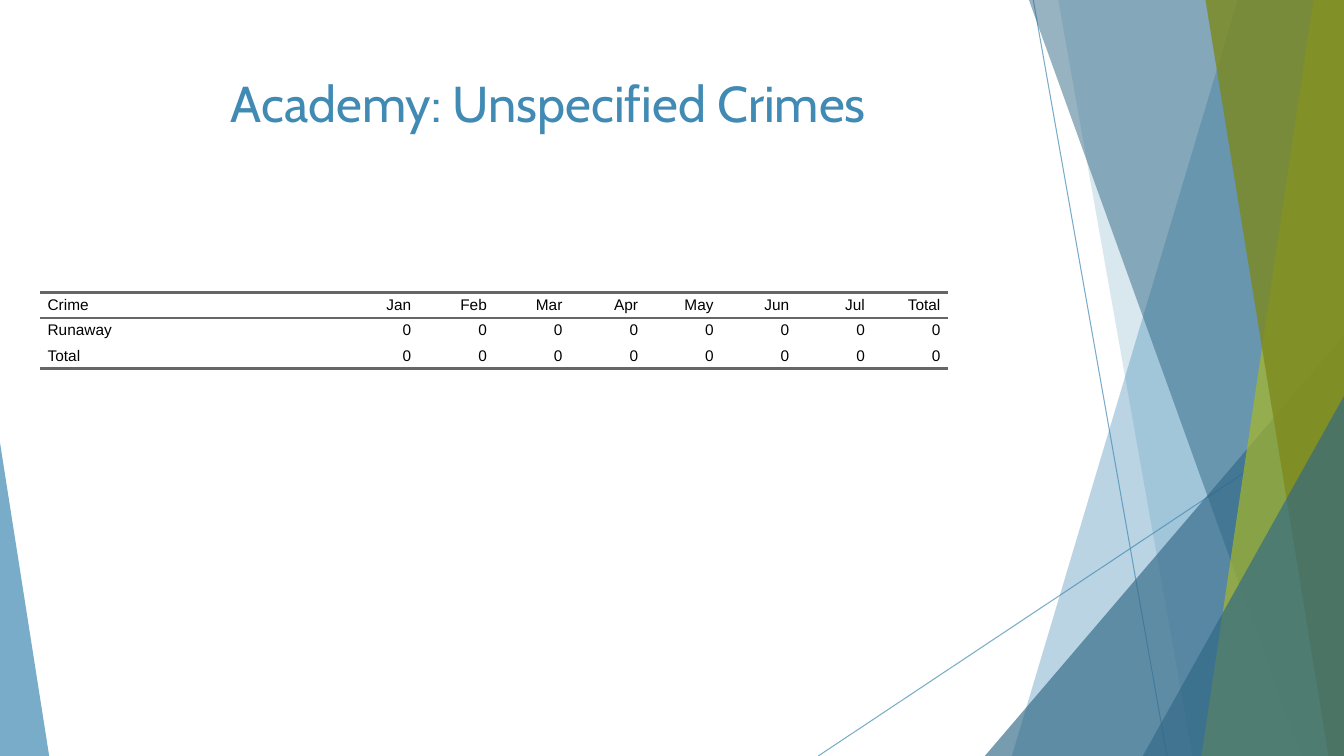
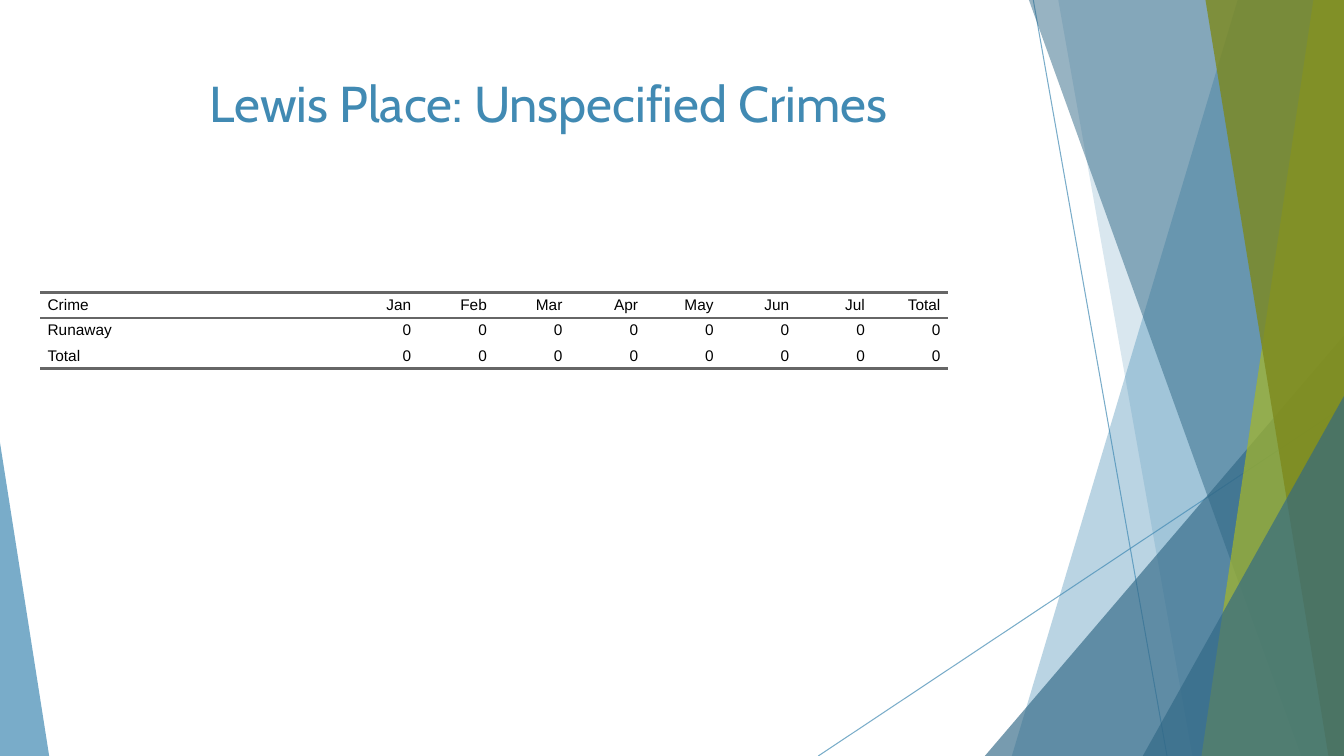
from lxml import etree
from pptx import Presentation
from pptx import util as u
from pptx.dml.color import RGBColor
from pptx.enum import shapes, text
from pptx.oxml.ns import qn

Cm, Pt = u.Cm, u.Pt
COLOURS = {
    "blue": "418AB3",
    "navy": "316886",
    "lime": "A6B727",
    "olive": "7D891D",
    "rule": "666666",
    "ink": "000000",
}
WIDTH, HEIGHT = 33.87, 19.05

# Facets from back to front: a band reaches the right edge and is given by its
# top and bottom x; a corner is a right triangle given by left, top, width, apex
FACETS = [
    ("band", (31.19, 25.5), "blue", 36),
    ("band", (26.67, 30.05), "blue", 20),
    ("corner", (24.82, 8.46, 9.05, 1), "navy", 66),
    ("band", (25.93, 32.79), "navy", 50),
    ("band", (33.1, 30.28), "lime", 70),
    ("band", (30.38, 33.48), "olive", 80),
    ("corner", (28.8, 9.98, 5.07, 1), "navy", 66),
    ("corner", (0, 11.15, 1.24, 0), "blue", 70),
]
HAIRLINES = [(26.04, 0, 29.41, HEIGHT), (WIDTH, 10.24, 20.62, HEIGHT)]

TITLES = ["Academy: Unspecified Crimes", "Lewis Place: Unspecified Crimes"]
MONTHS = ["Jan", "Feb", "Mar", "Apr", "May", "Jun", "Jul"]
HEADER = ["Crime", *MONTHS, "Total"]
CRIME_ROWS = [HEADER] + [[crime] + ["0"] * 8 for crime in ("Runaway", "Total")]
CRIME_WIDTH = 7.62
COUNT_WIDTH = CRIME_WIDTH / 4


def paint(colour_format, name, opacity):
    """Set a theme colour with an opacity in percent."""
    colour_format.rgb = RGBColor.from_string(COLOURS[name])
    srgb = colour_format._xFill.find(qn("a:srgbClr"))
    etree.SubElement(srgb, qn("a:alpha"), val=str(opacity * 1000))


def rule_cell(cell, ruled_sides):
    """Draw the ruled sides of a cell and clear the others."""
    properties = cell._tc.get_or_add_tcPr()
    for position, side in enumerate("LRTB"):
        edge = etree.Element(qn(f"a:ln{side}"), w=str(Pt(2)))
        if side in ruled_sides:
            fill = etree.SubElement(edge, qn("a:solidFill"))
            etree.SubElement(fill, qn("a:srgbClr"), val=COLOURS["rule"])
        else:
            etree.SubElement(edge, qn("a:noFill"))
        properties.insert(position, edge)


prs = Presentation()
prs.slide_width, prs.slide_height = Cm(WIDTH), Cm(HEIGHT)

for title in TITLES:
    slide = prs.slides.add_slide(prs.slide_layouts[6])

    # Hairlines behind the facets
    for ends in HAIRLINES:
        hairline = slide.shapes.add_connector(
            shapes.MSO_CONNECTOR.STRAIGHT, *map(Cm, ends))
        hairline.line.width = Pt(0.75)
        hairline.line.fill.solid()
        paint(hairline.line.fill.fore_color, "blue", 70)
        etree.SubElement(hairline._element.spPr, qn("a:effectLst"))

    # Translucent facets
    for kind, geometry, colour, opacity in FACETS:
        if kind == "band":
            top_x, bottom_x = geometry
            outline = slide.shapes.build_freeform(Cm(top_x), 0)
            corners = [(WIDTH, 0), (WIDTH, HEIGHT), (bottom_x, HEIGHT)]
            outline.add_line_segments([(Cm(x), Cm(y)) for x, y in corners])
            facet = outline.convert_to_shape()
        else:
            left, top, width, apex = geometry
            facet = slide.shapes.add_shape(
                shapes.MSO_SHAPE.ISOSCELES_TRIANGLE,
                Cm(left), Cm(top), Cm(width), Cm(HEIGHT - top))
            facet.adjustments[0] = apex
        facet.shadow.inherit = False
        facet.line.fill.background()
        facet.fill.solid()
        paint(facet.fill.fore_color, colour, opacity)

    # Crime counts by month
    counts = slide.shapes.add_table(
        len(CRIME_ROWS), len(HEADER), Cm(1.02), Cm(7.37),
        Cm(CRIME_WIDTH + 8 * COUNT_WIDTH), Cm(1.92)).table
    counts.first_row = counts.horz_banding = False
    for c, column in enumerate(counts.columns):
        column.width = Cm(COUNT_WIDTH if c else CRIME_WIDTH)
    for r, values in enumerate(CRIME_ROWS):
        counts.rows[r].height = Cm(0.64)
        for c, value in enumerate(values):
            cell = counts.cell(r, c)
            cell.fill.background()
            rule_cell(cell, ("TB", "T", "B")[r])
            cell.margin_left = cell.margin_right = Cm(0.18)
            cell.margin_top = cell.margin_bottom = 0
            cell.vertical_anchor = text.MSO_ANCHOR.MIDDLE
            entry = cell.text_frame.paragraphs[0]
            entry.text = value
            entry.alignment = text.PP_ALIGN.RIGHT if c else text.PP_ALIGN.LEFT
            font = entry.runs[0].font
            font.name, font.size = "Arial", Pt(11)
            font.color.rgb = RGBColor.from_string(COLOURS["ink"])

    # Title
    frame = slide.shapes.add_textbox(
        Cm(1.88), Cm(1.7), Cm(23.88), Cm(3.66)).text_frame
    frame.word_wrap = True
    frame.text = title
    heading = frame.paragraphs[0]
    heading.alignment = text.PP_ALIGN.CENTER
    font = heading.runs[0].font
    font.name, font.size = "Cabin", Pt(36)
    font.color.rgb = RGBColor.from_string(COLOURS["blue"])

prs.save("out.pptx")
